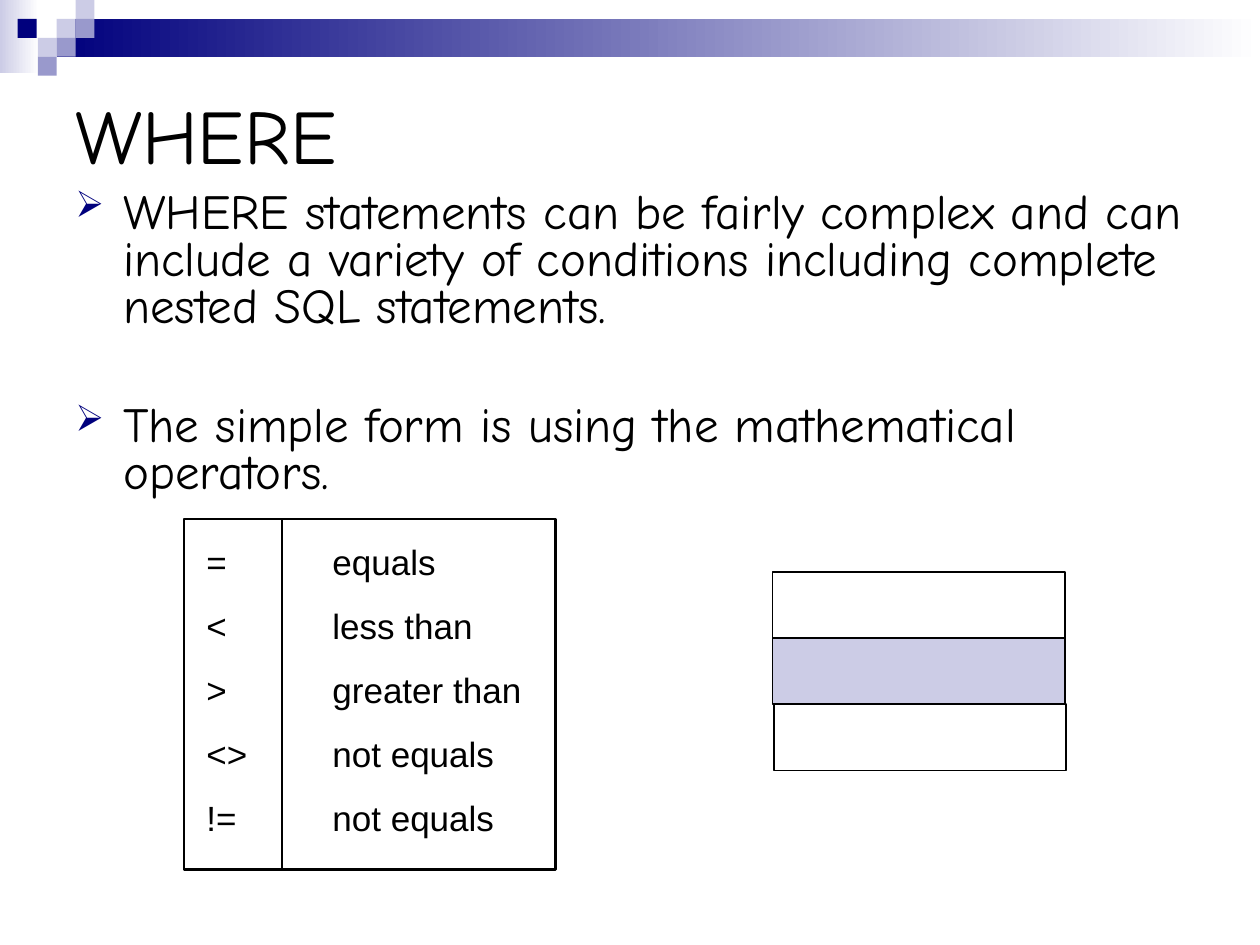
from lxml.etree import SubElement
from pptx import Presentation
from pptx.dml.color import RGBColor
from pptx.enum.shapes import MSO_CONNECTOR, MSO_SHAPE
from pptx.enum.text import MSO_ANCHOR
from pptx.oxml.ns import qn
from pptx.util import Inches, Pt

COLUMNS, ROWS = 100, 75
CELL = Inches(0.1)
PIXEL = 1.5

COLORS = {
    "navy": "00007D",
    "violet": "9999CC",
    "lavender": "CCCCE6",
    "white": "FFFFFF",
    "ink": "000000",
}
MOSAIC = [
    (4.5, 1.5, "lavender"),
    (6, 0, "lavender"),
    (6, 1.5, "violet"),
    (3, 3, "lavender"),
    (1.4, 1.5, "navy"),
    (4.5, 3, "violet"),
    (3, 4.5, "violet"),
]
STATEMENTS = [
    "WHERE statements can be fairly complex and can include a variety of "
    "conditions including complete nested SQL statements.",
    "The simple form is using the mathematical operators.",
]
OPERATORS = [
    ("=", "equals"),
    ("<", "less than"),
    (">", "greater than"),
    ("<>", "not equals"),
    ("!=", "not equals"),
]
RECORDS = [(61.3, "white"), (61.3, "lavender"), (61.4, "white")]

TITLE_FONT = {"name": "Comic Neue", "size": Pt(44)}
BODY_FONT = {"name": "Comic Neue", "size": Pt(28)}
OPERATOR_FONT = {"name": "Arial", "size": Pt(20)}


def grid(*cells):
    return [round(cell * CELL) for cell in cells]


def color(name):
    return RGBColor.from_string(COLORS[name])


def apply_format(target, values):
    for name, value in values.items():
        setattr(target, name, value)


def add_block(slide, area, fill=None, outline=None):
    block = slide.shapes.add_shape(MSO_SHAPE.RECTANGLE, *grid(*area))
    block.shadow.inherit = False
    if fill:
        block.fill.solid()
        block.fill.fore_color.rgb = color(fill)
    else:
        block.fill.background()
    if outline:
        block.line.color.rgb = color("ink")
        block.line.width = Pt(outline)
    else:
        block.line.fill.background()
    return block


def add_fade(slide, area, start):
    fade = add_block(slide, area).fill
    fade.gradient()
    fade.gradient_angle = 0
    for stop, name in zip(fade.gradient_stops, (start, "white")):
        stop.color.rgb = color(name)


def add_divider(slide, start, end):
    divider = slide.shapes.add_connector(MSO_CONNECTOR.STRAIGHT, *grid(*start, *end))
    divider.line.color.rgb = color("ink")
    divider.line.width = Pt(1)
    SubElement(divider._element.spPr, qn("a:effectLst"))


def add_bullet(paragraph):
    properties = paragraph._p.get_or_add_pPr()
    apply_indent = {"marL": Inches(0.38), "indent": -Inches(0.38)}
    for name, value in apply_indent.items():
        properties.set(name, str(value))
    bullet_color = SubElement(properties, qn("a:buClr"))
    SubElement(bullet_color, qn("a:srgbClr"), val=COLORS["navy"])
    SubElement(properties, qn("a:buSzPct"), val="75000")
    SubElement(properties, qn("a:buChar"), char="➢")


def add_tab(paragraph):
    stops = SubElement(paragraph._p.get_or_add_pPr(), qn("a:tabLst"))
    SubElement(stops, qn("a:tab"), pos=str(Inches(1)), algn="l")


def add_text(slide, area, lines, font, spacing=None, anchor=MSO_ANCHOR.TOP,
             gap=0, prepare=None):
    frame = slide.shapes.add_textbox(*grid(*area)).text_frame
    apply_format(frame, {"word_wrap": True, "vertical_anchor": anchor})
    for index, line in enumerate(lines):
        paragraph = frame.paragraphs[0] if index == 0 else frame.add_paragraph()
        if prepare:
            prepare(paragraph)
        apply_format(paragraph, {
            "line_spacing": spacing,
            "space_before": Pt(gap if index else 0),
        })
        run = paragraph.add_run()
        run.text = line
        apply_format(run.font, font)
        run.font.color.rgb = color("ink")


def add_banner(slide):
    add_fade(slide, (0, 0, 3.1, 5.8), "lavender")
    add_fade(slide, (4.5, 1.5, COLUMNS - 4.5, 2 * PIXEL), "navy")
    for left, top, fill in MOSAIC:
        add_block(slide, (left, top, PIXEL, PIXEL), fill)


def add_operators(slide):
    left, top, width, height = 14.6, 41.2, 29.5, 27.8
    add_block(slide, (left, top, width, height), outline=1.5)
    rows = ["\t".join(operator) for operator in OPERATORS]
    add_text(slide, (left + 0.8, top + 1.2, 30.6, 24.6), rows, OPERATOR_FONT,
             gap=12.5, prepare=add_tab)
    add_divider(slide, (left + 7.8, top), (left + 7.8, top + height))


def add_records(slide):
    top, height = 45.4, 5.25
    for row, (left, fill) in enumerate(RECORDS):
        add_block(slide, (left, top + row * height, 23.2, height), fill, 1)


def main():
    deck = Presentation()
    apply_format(deck, {"slide_width": COLUMNS * CELL, "slide_height": ROWS * CELL})
    slide = deck.slides.add_slide(deck.slide_layouts[6])
    add_banner(slide)
    add_text(slide, (5, 5, 90, 11.2), ["WHERE"], TITLE_FONT,
             anchor=MSO_ANCHOR.MIDDLE)
    add_text(slide, (5, 14.7, 90, 26), STATEMENTS, BODY_FONT, spacing=0.8,
             gap=41.5, prepare=add_bullet)
    add_operators(slide)
    add_records(slide)
    deck.save("out.pptx")


if __name__ == "__main__":
    main()
